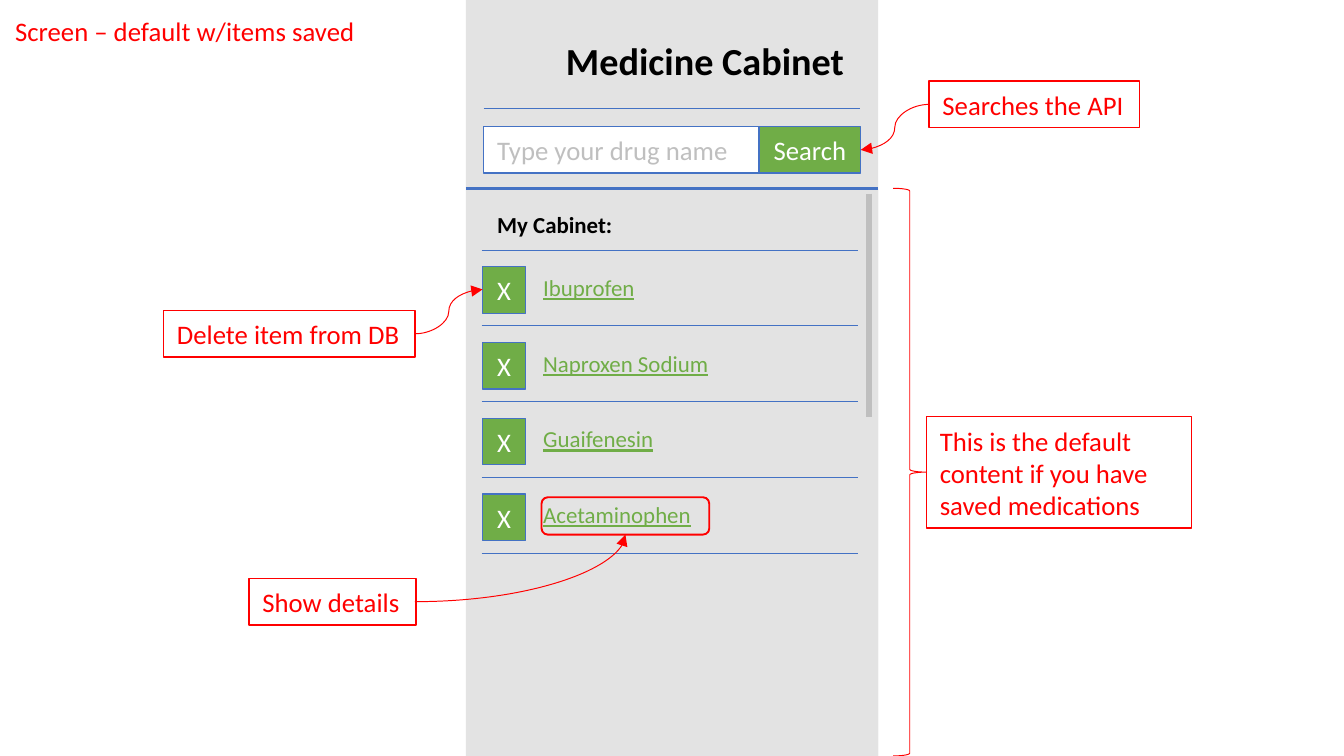
from dataclasses import dataclass

from lxml.etree import SubElement
from pptx import Presentation
from pptx.dml.color import RGBColor
from pptx.enum.shapes import MSO_CONNECTOR as LINK, MSO_SHAPE as SHAPE
from pptx.enum.text import MSO_AUTO_SIZE as FIT, PP_ALIGN as ALIGN
from pptx.oxml.ns import qn
from pptx.util import Cm, Pt


@dataclass(frozen=True)
class Theme:
    font: str = "Calibri"
    panel: str = "E3E3E3"
    white: str = "FFFFFF"
    black: str = "000000"
    blue: str = "4472C4"
    green: str = "70AD47"
    gray: str = "BFBFBF"
    red: str = "FF0000"
    title: int = 20
    body: int = 14
    small: int = 12


THEME = Theme()
SLIDE_W, SLIDE_H = 24.84, 13.97

SCREEN_NAME = ("Screen – default w/items saved", (0.03, 0.15, 6.83, 0.86))
APP_TITLE = ("Medicine Cabinet", (10.21, 0.56, 5.69, 1.12))
SEARCH_HINT = ("Type your drug name", (8.94, 2.34, 5.1, 0.86))
SEARCH_BUTTON = ("Search", (14.03, 2.34, 1.88, 0.86))
LIST_TITLE = ("My Cabinet:", (8.94, 3.76, 5.1, 0.76))
DELETE_MARK = "X"
MEDICINES = [
    ("Ibuprofen", 2.21),
    ("Naproxen Sodium", 3.61),
    ("Guaifenesin", 2.57),
    ("Acetaminophen", 3.28),
]
CALLOUTS = [
    ("Delete item from DB", (3.02, 5.74, 4.65, 0.86), True),
    ("This is the default content if you have saved medications",
     (17.12, 7.7, 4.9, 2.06), True),
    ("Searches the API", (17.17, 1.5, 3.89, 0.86), False),
    ("Show details", (4.6, 10.69, 3.09, 0.86), True),
]
POINTERS = [
    ((7.67, 6.17), (8.92, 5.35), "curvedConnector3"),
    ((17.17, 1.93), (15.91, 2.77), "curvedConnector3"),
    ((7.67, 11.12), (11.56, 9.88), "curvedConnector2"),
]

PANEL_X, PANEL_W = 8.61, 7.62
DIVIDER_Y = 3.48
SCROLL_W = 0.33
ROW_X, ROW_W, ROW_TOP, ROW_PITCH = 8.9, 6.96, 4.62, 1.4
MARK_W, MARK_H, MARK_GAP = 0.79, 0.86, 0.31
NAME_X, NAME_H = 9.79, 0.76

deck = Presentation()
deck.slide_width, deck.slide_height = Cm(SLIDE_W), Cm(SLIDE_H)
shapes = deck.slides.add_slide(deck.slide_layouts[6]).shapes


def rgb(code):
    return RGBColor.from_string(code)


def write(holder, words, color, size, bold=False, underline=False,
          wrap=True, align=ALIGN.LEFT):
    frame = holder.text_frame
    frame.word_wrap = wrap
    frame.auto_size = FIT.SHAPE_TO_FIT_TEXT
    paragraph = frame.paragraphs[0]
    paragraph.alignment = align
    run = paragraph.add_run()
    run.text = words
    run.font.name, run.font.size = THEME.font, Pt(size)
    run.font.bold, run.font.underline = bold, underline
    run.font.color.rgb = rgb(color)


def label(words, box, color, size, **style):
    write(shapes.add_textbox(*map(Cm, box)), words, color, size, **style)


def block(box, fill=None, line=None, width=0.75, kind=SHAPE.RECTANGLE):
    part = shapes.add_shape(kind, *map(Cm, box))
    part.shadow.inherit = False
    if fill:
        part.fill.solid()
        part.fill.fore_color.rgb = rgb(fill)
    else:
        part.fill.background()
    if line:
        part.line.color.rgb = rgb(line)
        part.line.width = Pt(width)
    else:
        part.line.fill.background()
    return part


def rule(start, end, color, width, kind=LINK.STRAIGHT):
    stroke = shapes.add_connector(kind, *map(Cm, start + end))
    stroke.line.color.rgb = rgb(color)
    stroke.line.width = Pt(width)
    SubElement(stroke._element.spPr, qn("a:effectLst"))
    return stroke


def pointer(start, end, preset):
    curve = rule(start, end, THEME.red, 0.5, LINK.CURVE)
    properties = curve._element.spPr
    properties.find(qn("a:prstGeom")).set("prst", preset)
    SubElement(properties.find(qn("a:ln")), qn("a:tailEnd"), type="triangle")


def green_button(words, box):
    write(block(box, THEME.green, THEME.blue), words, THEME.white, THEME.body,
          wrap=False, align=ALIGN.CENTER)


def row_rule(index):
    y = ROW_TOP + index * ROW_PITCH
    rule((ROW_X, y), (ROW_X + ROW_W, y), THEME.blue, 0.5)
    return y


panel_right = PANEL_X + PANEL_W
content_h = SLIDE_H - DIVIDER_Y
scroll_x = panel_right - SCROLL_W
bar_x = scroll_x + SCROLL_W / 2

block((PANEL_X, 0, PANEL_W, SLIDE_H), THEME.panel)
rule((8.94, 2.01), (15.9, 2.01), THEME.blue, 0.5)
block((scroll_x, DIVIDER_Y, SCROLL_W, content_h), THEME.panel)
rule((PANEL_X, DIVIDER_Y), (panel_right, DIVIDER_Y), THEME.blue, 1.5)
rule((bar_x, 3.58), (bar_x, 7.7), THEME.gray, 3)

hint, hint_box = SEARCH_HINT
write(block(hint_box, THEME.white, THEME.blue), hint, THEME.gray, THEME.body)
green_button(*SEARCH_BUTTON)
label(*APP_TITLE, THEME.black, THEME.title, bold=True, wrap=False)
label(*LIST_TITLE, THEME.black, THEME.small, bold=True)

for index, (medicine, name_w) in enumerate(MEDICINES):
    y = row_rule(index) + MARK_GAP
    green_button(DELETE_MARK, (ROW_X + 0.02, y, MARK_W, MARK_H))
    label(medicine, (NAME_X, y, name_w, NAME_H), THEME.green, THEME.small,
          underline=True, wrap=False)
row_rule(len(MEDICINES))

block((10.01, 9.19, 3.1, 0.69), line=THEME.red, width=1,
      kind=SHAPE.ROUNDED_RECTANGLE)
block((16.51, DIVIDER_Y, 0.61, content_h), line=THEME.red, width=0.5,
      kind=SHAPE.RIGHT_BRACE)
for note, box, wraps in CALLOUTS:
    write(block(box, line=THEME.red), note, THEME.red, THEME.body, wrap=wraps)
for start, end, preset in POINTERS:
    pointer(start, end, preset)
label(*SCREEN_NAME, THEME.red, THEME.body, wrap=False)

deck.save("out.pptx")
